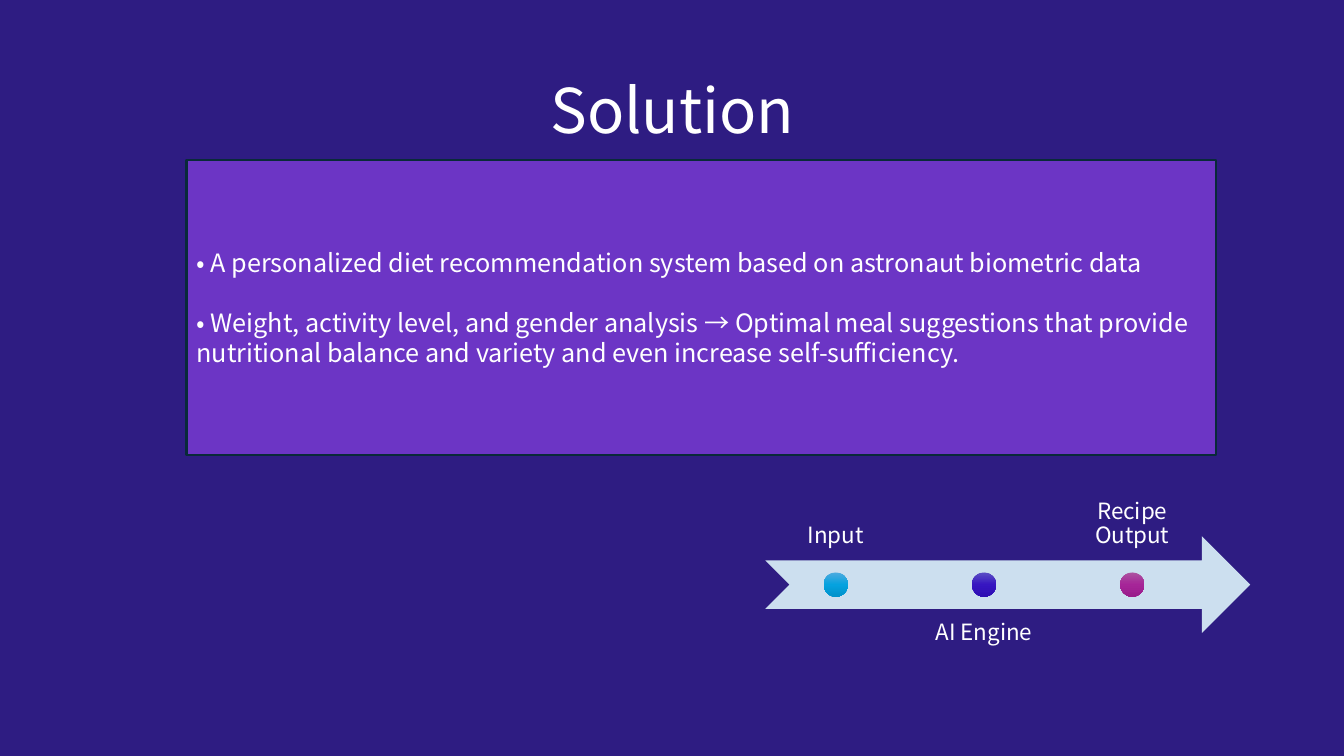
"""Build the Solution slide: a statement panel and a three-step process arrow."""
import copy
from dataclasses import dataclass

import pptx
import pptx.dml.color
import pptx.enum.shapes
import pptx.enum.text
import pptx.oxml.ns
import pptx.util

TITLE = "Solution"
POINTS = [
    "•\u00a0A personalized diet recommendation system based on astronaut biometric data",
    "• Weight, activity level, and gender analysis → Optimal meal suggestions that "
    "provide nutritional balance and variety and even increase self-sufficiency.",
]
STEPS = [
    ("Input", ("4CAADF", "05A2DF", "0092CB")),
    ("AI Engine", ("5B4EC4", "3716C1", "2D0DB3")),
    ("Recipe Output", ("AC53A0", "A62598", "991C8B")),
]


@dataclass(frozen=True)
class Theme:
    """Hold the colours, font and type sizes of the slide."""
    font: str = "Noto Sans CJK KR"
    background: str = "2E1C82"
    text: str = "FFFFFF"
    panel: str = "6C35C5"
    panel_line: str = "092A39"
    arrow: str = "CCDFEF"
    title_size: int = 44
    body_size: int = 18
    label_size: int = 16
    paragraph_gap: float = 21.5


THEME = Theme()
Inches = pptx.util.Inches
Pt = pptx.util.Pt
Shape = pptx.enum.shapes.MSO_SHAPE
Anchor = pptx.enum.text.MSO_ANCHOR
Align = pptx.enum.text.PP_ALIGN

ARROW = (7.59, 5.32, 4.81, 0.96)
LABEL_WIDTH, LABEL_HEIGHT = 1.4, 0.96
LABEL_TOPS = (4.6, 6.04)
FIRST_CENTER, STEP_PITCH = 8.29, 1.47
DOT = 0.24


def colour(code):
    """Turn a hex code into a colour."""
    return pptx.dml.color.RGBColor.from_string(code)


def write(frame, texts, size, align, anchor, line_spacing=1.0):
    """Fill a text frame with evenly styled paragraphs."""
    frame.word_wrap = True
    frame.vertical_anchor = anchor
    for index, text in enumerate(texts):
        para = frame.add_paragraph() if index else frame.paragraphs[0]
        para.text = text
        para.alignment = align
        para.line_spacing = line_spacing
        para.space_before = Pt(THEME.paragraph_gap if index else 0)
        para.font.name = THEME.font
        para.font.size = Pt(size)
        para.font.color.rgb = colour(THEME.text)


def add_block(page, kind, box, fill=None):
    """Add a flat shape without outline, filled when a colour is given."""
    shape = page.shapes.add_shape(kind, *map(Inches, box))
    shape.shadow.inherit = False
    shape.line.fill.background()
    if fill:
        shape.fill.solid()
        shape.fill.fore_color.rgb = colour(fill)
    return shape


def shade(shape, codes):
    """Fill a shape with a top-to-bottom gradient of three colours."""
    shape.fill.gradient()
    shape.fill.gradient_angle = 270
    stop_list = shape._element.spPr.find(".//" + pptx.oxml.ns.qn("a:gsLst"))
    stop_list.insert(1, copy.deepcopy(stop_list[0]))
    for index, (stop, code) in enumerate(zip(shape.fill.gradient_stops, codes)):
        stop.position = index / 2
        stop.color.rgb = colour(code)


def add_title(page):
    """Place the title."""
    title = page.shapes.title
    title.left, title.top, title.width, title.height = map(Inches, (0.92, 0.4, 11.5, 1.45))
    write(title.text_frame, [TITLE], THEME.title_size, Align.CENTER, Anchor.MIDDLE, 0.9)


def add_panel(page):
    """Draw the panel that holds the points."""
    panel = add_block(page, Shape.RECTANGLE, (1.85, 1.59, 10.21, 2.92), THEME.panel)
    panel.line.color.rgb = colour(THEME.panel_line)
    panel.line.width = Pt(1.5)
    write(panel.text_frame, POINTS, THEME.body_size, Align.LEFT, Anchor.MIDDLE)


def add_process(page):
    """Draw the arrow with its dots, labels alternating above and below."""
    add_block(page, Shape.NOTCHED_RIGHT_ARROW, ARROW, THEME.arrow)
    middle = ARROW[1] + ARROW[3] / 2
    for index, (name, codes) in enumerate(STEPS):
        center = FIRST_CENTER + index * STEP_PITCH
        below = index % 2
        box = (center - LABEL_WIDTH / 2, LABEL_TOPS[below], LABEL_WIDTH, LABEL_HEIGHT)
        frame = page.shapes.add_textbox(*map(Inches, box)).text_frame
        frame.margin_left = frame.margin_right = Inches(0.12)
        frame.margin_top = frame.margin_bottom = Inches(0.12)
        anchor = Anchor.TOP if below else Anchor.BOTTOM
        write(frame, [name], THEME.label_size, Align.CENTER, anchor, 0.9)
        dot = add_block(page, Shape.OVAL, (center - DOT / 2, middle - DOT / 2, DOT, DOT))
        shade(dot, codes)


def main():
    """Build and save the deck."""
    deck = pptx.Presentation()
    deck.slide_width, deck.slide_height = Inches(13.33), Inches(7.5)
    page = deck.slides.add_slide(deck.slide_layouts.get_by_name("Title Only"))
    page.background.fill.solid()
    page.background.fill.fore_color.rgb = colour(THEME.background)
    add_title(page)
    add_panel(page)
    add_process(page)
    deck.save("out.pptx")


if __name__ == "__main__":
    main()
